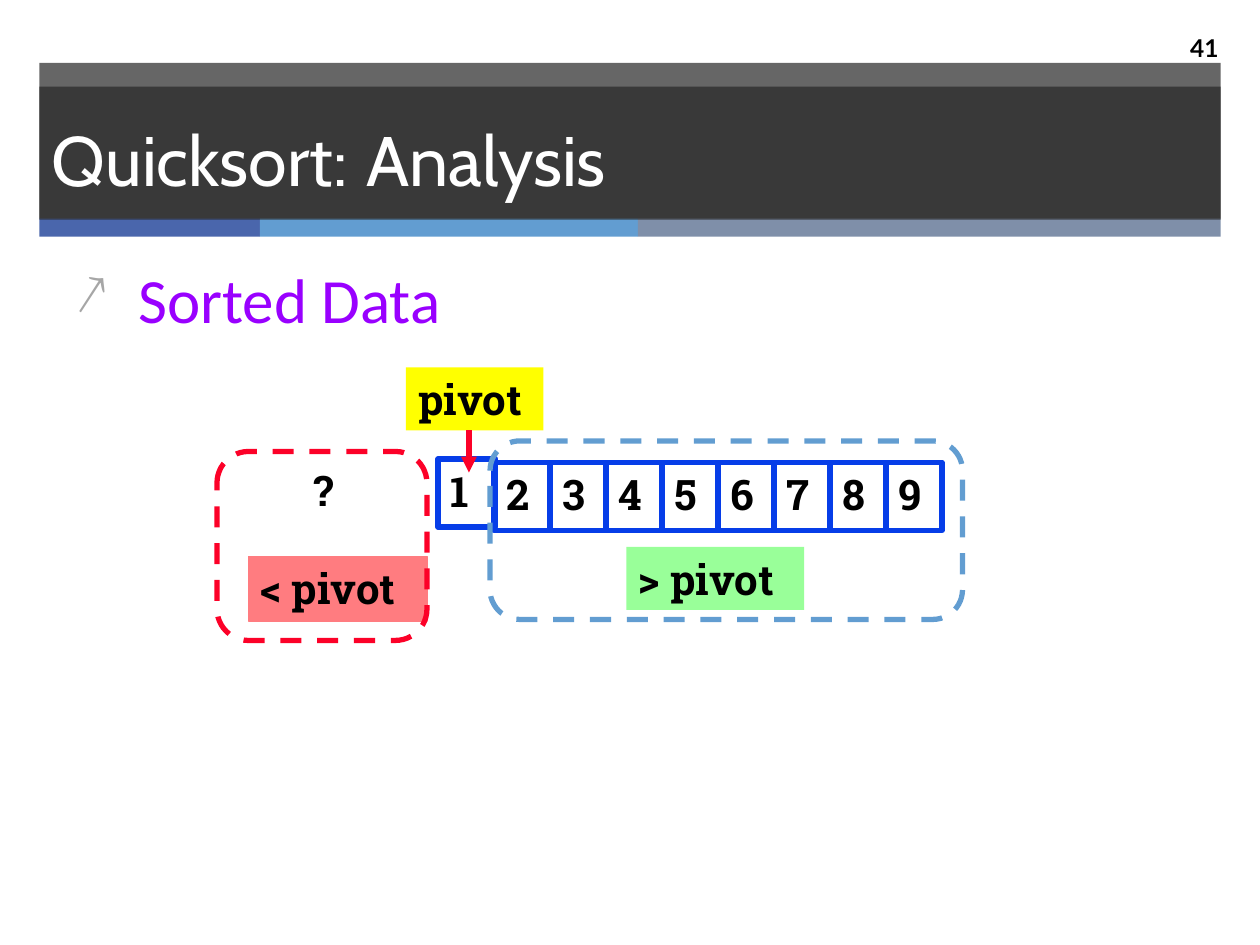
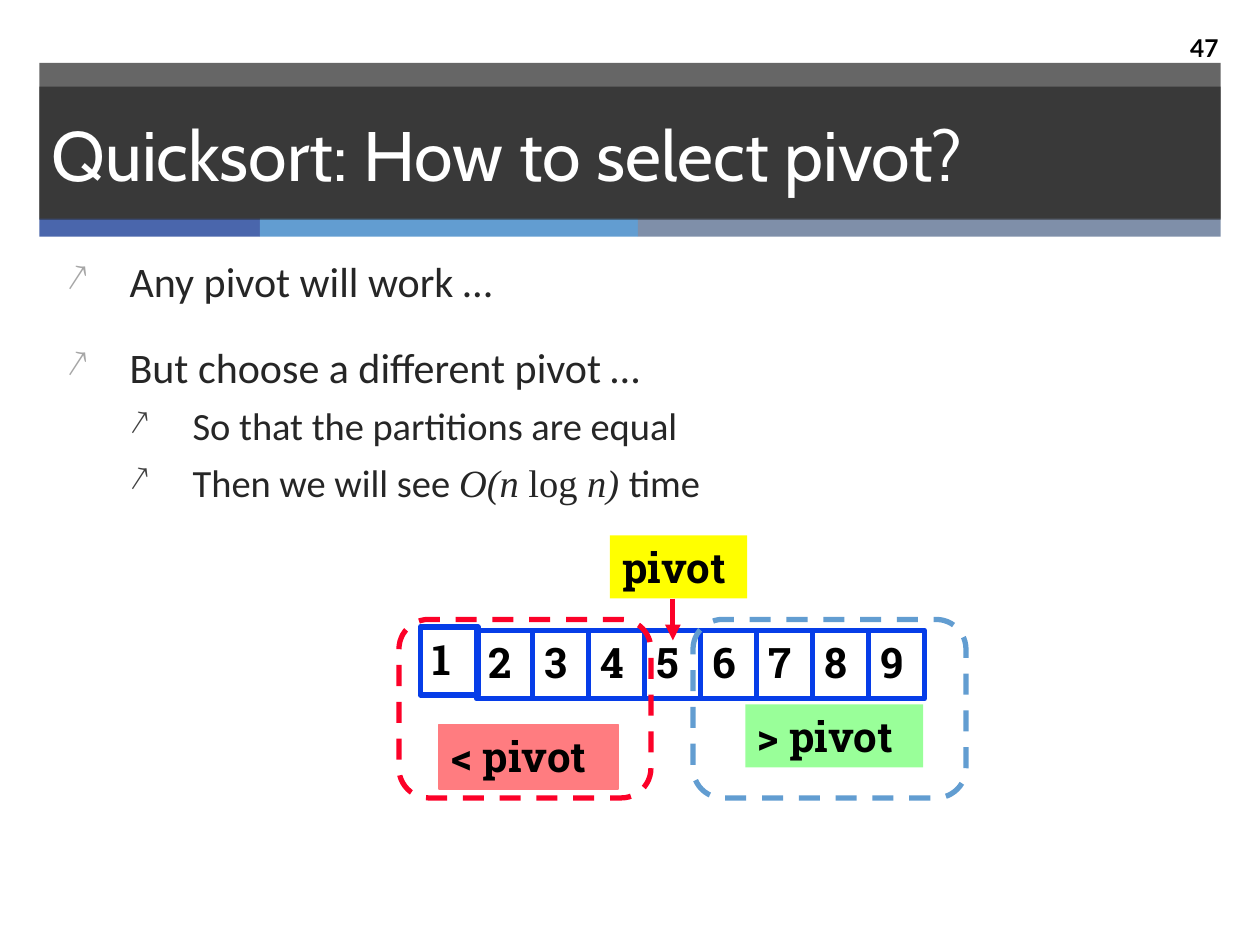
"""Build two quicksort slides on partitioning around a pivot."""
from pptx import Presentation
from pptx.dml.color import RGBColor
from pptx.enum.dml import MSO_LINE
from pptx.enum.shapes import MSO_CONNECTOR, MSO_SHAPE
from pptx.enum.text import MSO_ANCHOR, MSO_AUTO_SIZE, PP_ALIGN
from pptx.oxml.ns import qn
from pptx.util import Pt
from lxml import etree

RECT, ROUNDED = MSO_SHAPE.RECTANGLE, MSO_SHAPE.ROUNDED_RECTANGLE
STRAIGHT, DASH = MSO_CONNECTOR.STRAIGHT, MSO_LINE.DASH
TOP, MIDDLE = MSO_ANCHOR.TOP, MSO_ANCHOR.MIDDLE
LEFT, RIGHT = PP_ALIGN.LEFT, PP_ALIGN.RIGHT
NO_AUTOFIT = MSO_AUTO_SIZE.NONE

COLORS = {
    "band": "262626", "white": "FFFFFF", "black": "000000", "ink": "262626",
    "navy": "4A66AC", "sky": "629DD1", "slate": "7F8FA9",
    "cell": "063DE8", "red": "FC0128", "pink": "FF7C80",
    "yellow": "FFFF00", "green": "99FF99", "purple": "9900FF",
    "bullet": "A6A6A6", "sub_bullet": "404040",
}
STRIPES = [(22.5, 126, "navy"), (148.5, 216, "sky"), (364.5, 333, "slate")]
CELL_W, CELL_H = 32, 39

SLIDES = [
    {
        "number": "41",
        "title": [("Quicksort:", 40), (" ", 48), ("Analysis", 40)],
        "body_frame": (36, 145.5, 612, 120),
        "body": [(0, 36, "purple", [("Sorted Data", "Calibri", False)])],
        "row": (282.25, 264.25), "pivot_left": 232,
        "greater": (280, 252, 270, 102), "greater_label": (358, 312.5),
        "less": (124, 258, 120, 108), "less_label": (142, 318),
        "unknown": (172, 262, 30, 36),
    },
    {
        "number": "47",
        "title": [("Quicksort: How to select pivot?", 40)],
        "body_frame": (31, 142.5, 546, 192),
        "body": [
            (0, 24, "ink", [("Any pivot will work …", "Calibri", False)]),
            (0, 24, "ink", [("But choose a different pivot …", "Calibri", False)]),
            (1, 22, "ink", [("So that the partitions are equal", "Calibri", False)]),
            (1, 22, "ink", [("Then we will see ", "Calibri", False),
                            ("O(n ", "Times New Roman", True),
                            ("log", "Times New Roman", False),
                            (" n) ", "Times New Roman", True),
                            ("time", "Calibri", False)]),
        ],
        "row": (272.25, 360.25), "pivot_left": 348.5,
        "greater": (396, 354, 156, 102), "greater_label": (426, 402.5),
        "less": (228, 354, 144, 102), "less_label": (251, 414),
        "unknown": None,
    },
]


def style_text(paragraph, font_name, size, color, bold=False, align=LEFT):
    paragraph.alignment = align
    paragraph.font.name = font_name
    paragraph.font.size = Pt(size)
    paragraph.font.bold = bold
    paragraph.font.color.rgb = RGBColor.from_string(COLORS[color])


def add_box(slide, frame, fill=None, line=None, width=3, dashed=False, text=""):
    box = slide.shapes.add_shape(ROUNDED if dashed else RECT, *map(Pt, frame))
    box.shadow.inherit = False
    if fill:
        box.fill.solid()
        box.fill.fore_color.rgb = RGBColor.from_string(COLORS[fill])
    else:
        box.fill.background()
    if line:
        box.line.color.rgb = RGBColor.from_string(COLORS[line])
        box.line.width = Pt(width)
    else:
        box.line.fill.background()
    if dashed:
        box.line.dash_style = DASH
    if text:
        box.text_frame.word_wrap = True
        box.text_frame.vertical_anchor = TOP
        box.text_frame.text = text
        style_text(box.text_frame.paragraphs[0], "Roboto Slab", 24, "black", bold=True)
    return box


prs = Presentation()
prs.slide_width, prs.slide_height = Pt(720), Pt(540)

for content in SLIDES:
    slide = prs.slides.add_slide(prs.slide_layouts[5])

    band = add_box(slide, (22.5, 36, 675, 89), fill="band")
    for left, width, color in STRIPES:
        stripe = add_box(slide, (left, 124.75, width, 10.5), fill=color)

    title = slide.shapes.title
    stripe.element.addnext(title.element)
    title.left, title.top, title.width, title.height = map(Pt, (22.5, 49.5, 675, 76))
    title.fill.solid()
    title.fill.fore_color.rgb = RGBColor.from_string(COLORS["band"])
    for shade in (band, title):
        shade_color = shade.element.spPr.find(qn("a:solidFill")).find(qn("a:srgbClr"))
        etree.SubElement(shade_color, qn("a:alpha"), val="70000")
    title.text_frame.auto_size = NO_AUTOFIT
    title.text_frame.vertical_anchor = MIDDLE
    heading = title.text_frame.paragraphs[0]
    style_text(heading, "Cabin", 40, "white")
    for words, size in content["title"]:
        run = heading.add_run()
        run.text = words
        if size != 40:
            run.font.size = Pt(size)

    page_number = slide.shapes.add_textbox(*map(Pt, (654, 13, 49.5, 28))).text_frame
    page_number.word_wrap = True
    page_number.vertical_anchor = MIDDLE
    page_number.text = content["number"]
    style_text(page_number.paragraphs[0], "Lato", 14, "black", bold=True, align=RIGHT)

    row_left, row_top = content["row"]
    add_box(slide, (row_left - CELL_W, row_top - 2, CELL_W + 1, CELL_H), line="cell", text="1")
    for value in range(2, 10):
        cell_left = row_left + (value - 2) * CELL_W
        add_box(slide, (cell_left, row_top, CELL_W, CELL_H), line="cell", text=str(value))

    pivot_left, pivot_top = content["pivot_left"], row_top - 54.25
    add_box(slide, (pivot_left, pivot_top, 78.5, 36), fill="yellow", text="pivot")
    arrow_x = pivot_left + 36
    arrow = slide.shapes.add_connector(
        STRAIGHT, *map(Pt, (arrow_x, pivot_top + 36, arrow_x, pivot_top + 60)))
    arrow.line.color.rgb = RGBColor.from_string(COLORS["red"])
    arrow.line.width = Pt(3)
    etree.SubElement(arrow.line._get_or_add_ln(), qn("a:tailEnd"), type="triangle")
    etree.SubElement(arrow.element.spPr, qn("a:effectLst"))

    add_box(slide, content["greater"], line="sky", dashed=True)
    add_box(slide, (*content["less_label"], 102.25, 36.75),
            fill="pink", line="pink", width=1, text="< pivot")
    add_box(slide, content["less"], line="red", dashed=True)
    if content["unknown"]:
        add_box(slide, content["unknown"], text="?")
    add_box(slide, (*content["greater_label"], 101.5, 36), fill="green", text="> pivot")

    body = slide.shapes.add_textbox(*map(Pt, content["body_frame"])).text_frame
    body.word_wrap = True
    for index, (level, size, color, runs) in enumerate(content["body"]):
        point = body.add_paragraph() if index else body.paragraphs[0]
        point.level = level
        properties = point._p.get_or_add_pPr()
        properties.set("marL", str(Pt(36 * (level + 1))))
        properties.set("indent", str(Pt(-36)))
        bullet_color = etree.SubElement(properties, qn("a:buClr"))
        etree.SubElement(bullet_color, qn("a:srgbClr"),
                         val=COLORS["sub_bullet" if level else "bullet"])
        etree.SubElement(properties, qn("a:buSzPct"), val="90000")
        etree.SubElement(properties, qn("a:buChar"), char="↗")
        if index:
            point.space_before = Pt(6 if level else 20)
        style_text(point, "Calibri", size, color)
        for words, font_name, italic in runs:
            run = point.add_run()
            run.text = words
            if font_name != "Calibri":
                run.font.name = font_name
                run.font.italic = italic

prs.save("out.pptx")
